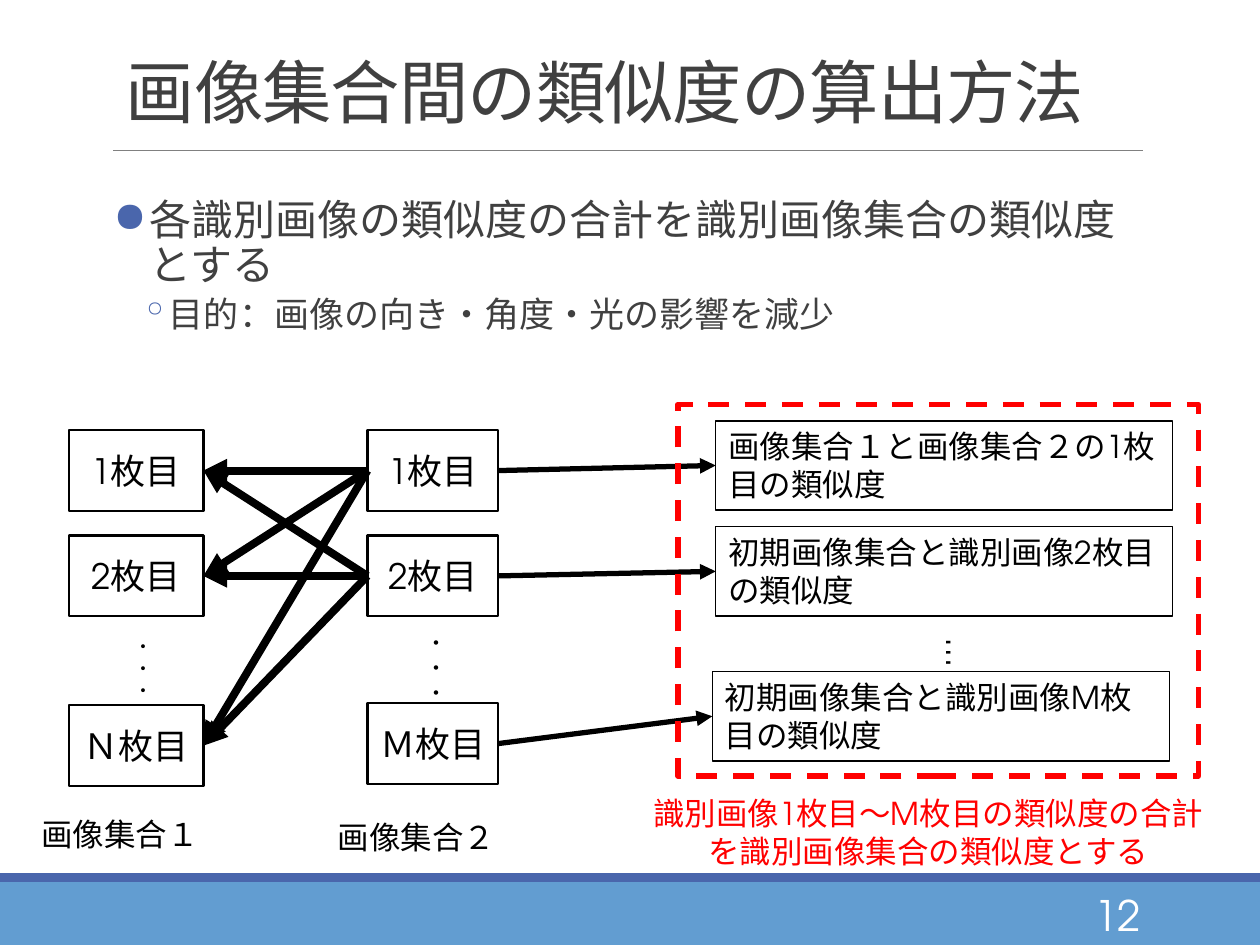
from dataclasses import dataclass

from lxml import etree
from pptx import Presentation
from pptx.dml.color import RGBColor
from pptx.enum.dml import MSO_LINE
from pptx.enum.shapes import MSO_CONNECTOR, MSO_SHAPE
from pptx.enum.text import MSO_ANCHOR, PP_ALIGN
from pptx.oxml.ns import qn
from pptx.util import Pt

RECTANGLE = MSO_SHAPE.RECTANGLE
STRAIGHT = MSO_CONNECTOR.STRAIGHT
DASH = MSO_LINE.DASH
TOP, MIDDLE, BOTTOM = MSO_ANCHOR.TOP, MSO_ANCHOR.MIDDLE, MSO_ANCHOR.BOTTOM
LEFT, CENTER, RIGHT = PP_ALIGN.LEFT, PP_ALIGN.CENTER, PP_ALIGN.RIGHT
LEFT_SIDE, RIGHT_SIDE = 1, 3


@dataclass(frozen=True)
class Theme:
    font: str = "TeX Gyre Adventor"
    ink: str = "000000"
    heading: str = "404040"
    paper: str = "FFFFFF"
    rule: str = "808080"
    accent: str = "4A66AC"
    band: str = "629DD1"
    alert: str = "FF0000"
    title_size: float = 39.6
    body_size: float = 24
    item_size: float = 20
    label_size: float = 18


THEME = Theme()


@dataclass(frozen=True)
class Area:
    x: float
    y: float
    width: float
    height: float

    def lengths(self) -> tuple:
        return Pt(self.x), Pt(self.y), Pt(self.width), Pt(self.height)


@dataclass(frozen=True)
class TextStyle:
    size: float
    color: str = THEME.ink
    align: PP_ALIGN = LEFT
    anchor: MSO_ANCHOR = TOP
    vertical: bool = False


@dataclass(frozen=True)
class Bullet:
    text: str
    mark: str
    size: float
    margin: float
    hanging: float
    before: float
    after: float


@dataclass(frozen=True)
class Row:
    source: str
    target: str
    result: str
    source_y: float
    target_y: float
    result_y: float
    shift: float = 0


ITEM = TextStyle(THEME.item_size, align=CENTER, anchor=MIDDLE)
LABEL = TextStyle(THEME.label_size)

BULLETS = (
    Bullet("各識別画像の類似度の合計を識別画像集合の類似度とする", "●", THEME.body_size, 20.88, 20.88, 0, 2),
    Bullet("目的：画像の向き・角度・光の影響を減少", "◦", THEME.item_size, 30.24, 14.4, 2, 4),
)

ROWS = (
    Row("1枚目", "1枚目", "画像集合１と画像集合２の1枚目の類似度", 245.8, 245.8, 240.5),
    Row("2枚目", "2枚目", "初期画像集合と識別画像2枚目の類似度", 306, 306, 301),
    Row("Ｎ枚目", "Ｍ枚目", "初期画像集合と識別画像M枚目の類似度", 403, 401.8, 383.8, -2),
)


def rgb(color: str) -> RGBColor:
    return RGBColor.from_string(color)


def format_runs(paragraph, size: float, color: str) -> None:
    """Apply the theme font, a size and a colour to every run."""
    for run in paragraph.runs:
        run.font.name = THEME.font
        run.font.size = Pt(size)
        run.font.color.rgb = rgb(color)
        etree.SubElement(run.font._element, qn("a:ea"), typeface=THEME.font)


def write(shape, text: str, style: TextStyle):
    """Fill a shape with one styled paragraph."""
    frame = shape.text_frame
    frame.text = text
    frame.word_wrap = True
    frame.vertical_anchor = style.anchor
    if style.vertical:
        shape.element.txBody.bodyPr.set("vert", "eaVert")
    paragraph = frame.paragraphs[0]
    paragraph.alignment = style.align
    format_runs(paragraph, style.size, style.color)
    return paragraph


def add_label(slide, area: Area, text: str, style: TextStyle):
    """Add a text box with one paragraph."""
    return write(slide.shapes.add_textbox(*area.lengths()), text, style)


def add_box(slide, area: Area, fill: str = "", line: str = "", weight: float = 0):
    """Add a rectangle with an optional fill and outline."""
    box = slide.shapes.add_shape(RECTANGLE, *area.lengths())
    box.shadow.inherit = False
    if fill:
        box.fill.solid()
        box.fill.fore_color.rgb = rgb(fill)
    else:
        box.fill.background()
    if line:
        box.line.color.rgb = rgb(line)
        box.line.width = Pt(weight)
    else:
        box.line.fill.background()
    return box


def add_line(slide, start: tuple, end: tuple, color: str, weight: float):
    """Add a straight line without a shadow."""
    line = slide.shapes.add_connector(STRAIGHT, *map(Pt, start + end))
    line.line.color.rgb = rgb(color)
    line.line.width = Pt(weight)
    etree.SubElement(line.element.spPr, qn("a:effectLst"))
    return line


def add_arrow(slide, begin, begin_side: int, end, end_side: int, weight: float) -> None:
    """Join the sides of two boxes with an arrow."""
    arrow = add_line(slide, (0, 0), (0, 0), THEME.ink, weight)
    arrow.begin_connect(begin, begin_side)
    arrow.end_connect(end, end_side)
    etree.SubElement(arrow.line._get_or_add_ln(), qn("a:tailEnd"), type="triangle")


def add_bullets(slide, area: Area, bullets: tuple) -> None:
    """Add the bulleted body text."""
    frame = slide.shapes.add_textbox(*area.lengths()).text_frame
    frame.word_wrap = True
    frame.margin_left = frame.margin_right = 0
    frame.text = "\n".join(bullet.text for bullet in bullets)
    for level, (paragraph, bullet) in enumerate(zip(frame.paragraphs, bullets)):
        properties = paragraph._p.get_or_add_pPr()
        properties.set("marL", str(Pt(bullet.margin)))
        properties.set("indent", str(-Pt(bullet.hanging)))
        mark_color = etree.SubElement(properties, qn("a:buClr"))
        etree.SubElement(mark_color, qn("a:srgbClr"), val=THEME.accent)
        etree.SubElement(properties, qn("a:buChar"), char=bullet.mark)
        paragraph.level = level
        paragraph.line_spacing = 0.9
        paragraph.space_before = Pt(bullet.before)
        paragraph.space_after = Pt(bullet.after)
        format_runs(paragraph, bullet.size, THEME.heading)


def add_dots(slide, area: Area, size: float) -> None:
    """Add a rotated column of continuation dots."""
    dots = add_box(slide, area, THEME.paper)
    dots.rotation = 90
    write(dots, "・・・", TextStyle(size, align=CENTER, vertical=True))


def add_page(slide) -> None:
    """Add the footer bands, title, rule, body and page number."""
    add_box(slide, Area(0, 504, 720, 36), THEME.band)
    add_box(slide, Area(0, 499, 720, 5), THEME.accent)
    add_line(slide, (64.8, 85.9), (653, 85.9), THEME.rule, 0.5)
    title = add_label(slide, Area(64.8, 18.7, 594, 60.5), "画像集合間の類似度の算出方法",
                      TextStyle(THEME.title_size, THEME.heading, anchor=BOTTOM))
    title.line_spacing = 0.85
    title.runs[0].font._element.set("spc", "-50")
    add_bullets(slide, Area(64.8, 110.2, 594, 386), BULLETS)
    add_label(slide, Area(581, 508.3, 77.8, 28.8), "12",
              TextStyle(THEME.body_size, THEME.paper, RIGHT, MIDDLE))


def add_diagram(slide) -> None:
    """Add both image sets, their comparisons and the similarity results."""
    add_dots(slide, Area(54, 363.6, 53.3, 27.4), 10.5)
    add_dots(slide, Area(218.2, 362.2, 58.3, 30.2), 12)
    sources, targets, results = [], [], []
    for row in ROWS:
        source = add_box(slide, Area(39.5, row.source_y, 76.8, 46.2), THEME.paper, THEME.ink, 1.25)
        target = add_box(slide, Area(210, row.target_y, 74.8, 46.2), THEME.paper, THEME.ink, 1.25)
        result = add_box(slide, Area(409 + row.shift, row.result_y, 261.2, 51), line=THEME.ink, weight=0.75)
        write(source, row.source, ITEM)
        write(target, row.target, ITEM)
        write(result, row.result, LABEL)
        sources.append(source)
        targets.append(target)
        results.append(result)
    for target in targets[:2]:
        for source in sources:
            add_arrow(slide, target, LEFT_SIDE, source, RIGHT_SIDE, 4.5)
    for target, result in zip(targets, results):
        add_arrow(slide, target, RIGHT_SIDE, result, LEFT_SIDE, 3)
    frame = add_box(slide, Area(387.4, 231, 297.4, 212.5), line=THEME.alert, weight=3)
    frame.line.dash_style = DASH
    add_label(slide, Area(525.6, 357.8, 38.9, 23.8), "…",
              TextStyle(THEME.item_size, align=CENTER, vertical=True))
    add_label(slide, Area(16.6, 462.2, 126.7, 28.8), "画像集合１", LABEL)
    add_label(slide, Area(185.8, 463.7, 123, 28.8), "画像集合２", LABEL)
    add_label(slide, Area(363, 450, 334.8, 51), "識別画像1枚目～M枚目の類似度の合計を識別画像集合の類似度とする",
              TextStyle(THEME.label_size, THEME.alert, CENTER))


def main() -> None:
    deck = Presentation()
    deck.slide_width, deck.slide_height = Pt(720), Pt(540)
    slide = deck.slides.add_slide(deck.slide_layouts[6])
    add_page(slide)
    add_diagram(slide)
    deck.save("out.pptx")


if __name__ == "__main__":
    main()
